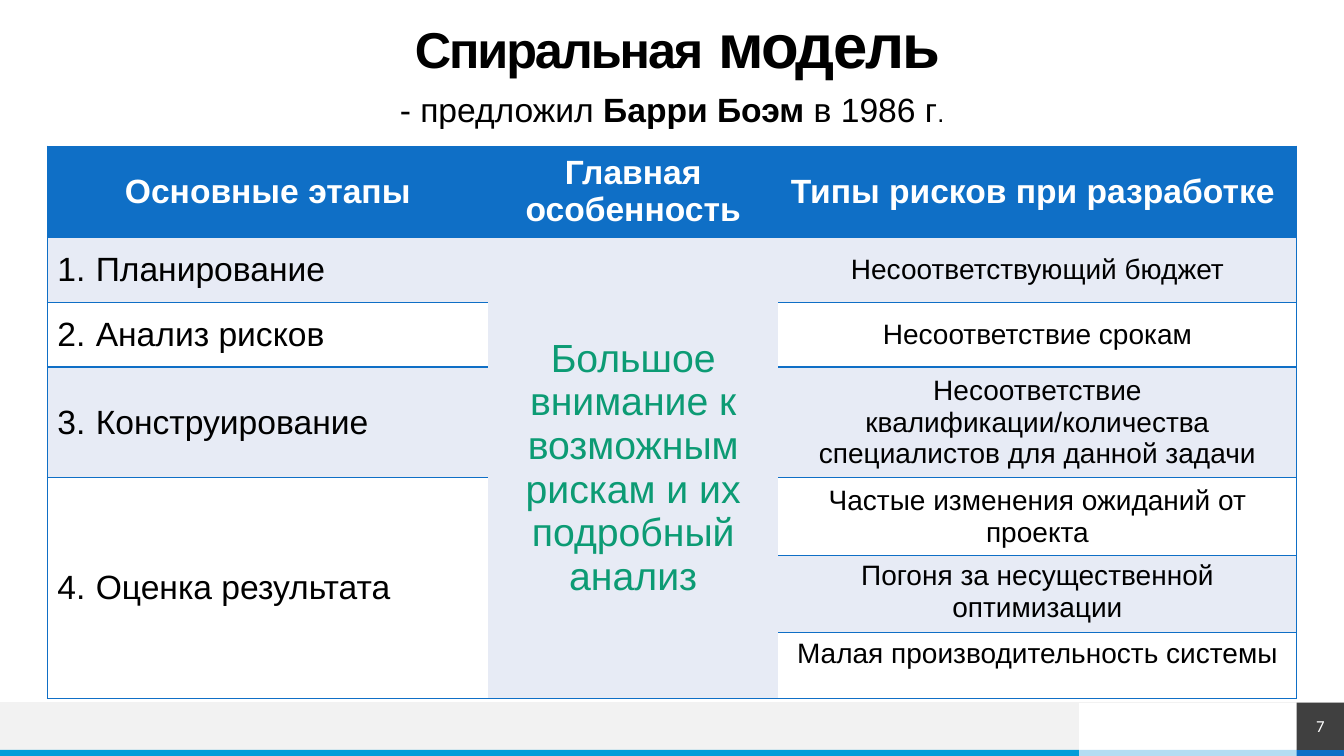
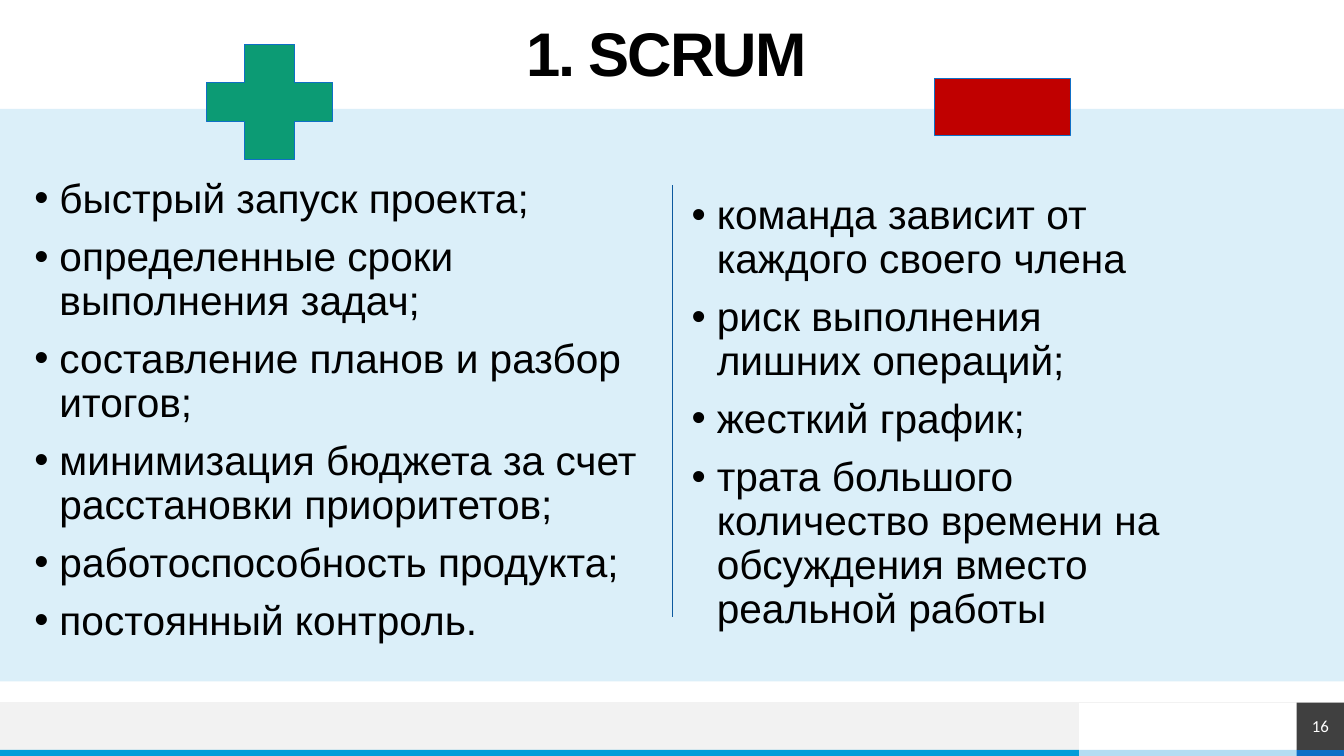
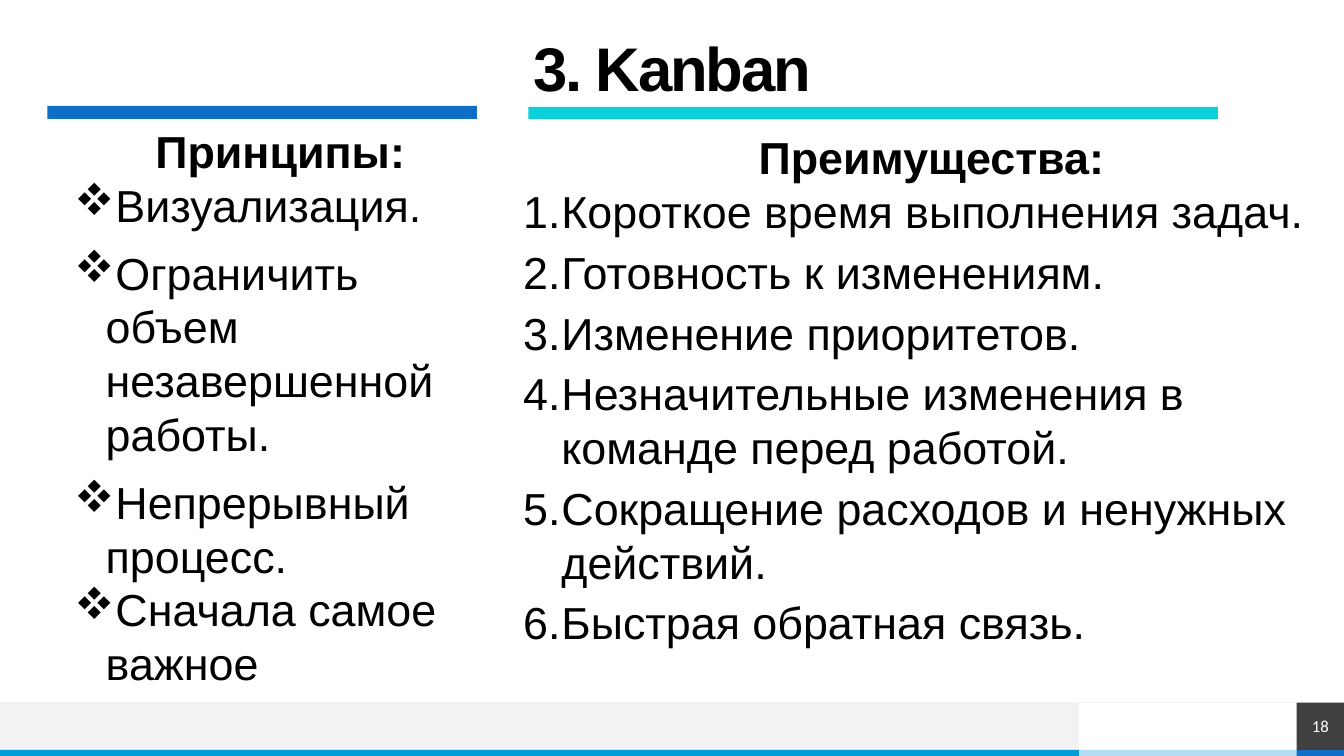
from lxml import etree
from pptx import Presentation
from pptx.dml.color import RGBColor
from pptx.enum import shapes, text
from pptx.oxml.ns import qn
from pptx.util import Inches, Pt

# Colours
BLACK = RGBColor(0x00, 0x00, 0x00)
WHITE = RGBColor(0xFF, 0xFF, 0xFF)
BLUE = RGBColor(0x0F, 0x6F, 0xC6)
DARK_BLUE = RGBColor(0x0C, 0x59, 0x9F)
SKY = RGBColor(0x00, 0x9D, 0xD9)
PALE_SKY = RGBColor(0xB3, 0xDD, 0xF2)
PANEL = RGBColor(0xDB, 0xEF, 0xF9)
CYAN = RGBColor(0x0B, 0xD0, 0xD9)
GREEN = RGBColor(0x0C, 0x9B, 0x74)
RED = RGBColor(0xC0, 0x00, 0x00)
ROW_TINT = RGBColor(0xE7, 0xEB, 0xF5)
LIGHT = RGBColor(0xF2, 0xF2, 0xF2)
DARK = RGBColor(0x40, 0x40, 0x40)

RECT = shapes.MSO_SHAPE.RECTANGLE
CENTER = text.PP_ALIGN.CENTER
MIDDLE = text.MSO_ANCHOR.MIDDLE

# Bullets: (font, character); "v" is the four-diamond sign in Wingdings
DOT = ("Arial", "•")
DIAMONDS = ("Wingdings", "v")

# Content: runs are (text, size, bold)
SPIRAL_TITLE = [("Спиральная", 36, True), (" модель", 44, True)]
SPIRAL_AUTHOR = [("- предложил ", 24, False), ("Барри Боэм ", 24, True),
                 ("в 1986 г", 24, False), (".", 18, False)]
HEADERS = ["Основные этапы", "Главная особенность", "Типы рисков при разработке "]
STAGES = ["Планирование", "Анализ рисков", "Конструирование", "Оценка результата"]
FEATURE = "Большое внимание к возможным рискам и их подробный анализ"
RISKS = ["Несоответствующий бюджет", "Несоответствие срокам",
         "Несоответствие квалификации/количества специалистов для данной задачи",
         "Частые изменения ожиданий от проекта",
         "Погоня за несущественной оптимизации",
         "Малая производительность системы"]
COL_WIDTHS = [4.37, 2.88, 5.14]
ROW_HEIGHTS = [0.89, 0.65, 0.64, 1.1, 0.77, 0.76, 0.65]

SCRUM_PROS = ["быстрый запуск проекта;", "определенные сроки выполнения задач;",
              "составление планов и разбор итогов;",
              "минимизация бюджета за счет расстановки приоритетов;",
              "работоспособность продукта;", "постоянный контроль."]
SCRUM_CONS = ["команда зависит от каждого своего члена",
              "риск выполнения лишних операций;", "жесткий график;",
              "трата большого количество времени на обсуждения вместо реальной работы"]

PRINCIPLES = ["Визуализация.", "Ограничить объем незавершенной работы.",
              "Непрерывный процесс.", "Сначала самое важное"]
BENEFITS = ["Короткое время выполнения задач.", "Готовность к изменениям.",
            "Изменение приоритетов.", "Незначительные изменения в команде перед работой.",
            "Сокращение расходов и ненужных действий.", "Быстрая обратная связь."]


# Text helpers
def add_runs(p, runs, color=BLACK, font="Arial", align=None):
    p.alignment = align
    for words, size, bold in runs:
        r = p.add_run()
        r.text = words
        r.font.name, r.font.size, r.font.bold = font, Pt(size), bold
        r.font.color.rgb = color


def set_bullet(p, hang, bullet=None, number=1):
    pPr = p._p.get_or_add_pPr()
    pPr.set("marL", str(Inches(hang)))
    pPr.set("indent", str(-Inches(hang)))
    if bullet:
        font, char = bullet
        etree.SubElement(pPr, qn("a:buFont"), typeface=font)
        etree.SubElement(pPr, qn("a:buChar"), char=char)
    else:
        etree.SubElement(pPr, qn("a:buAutoNum"), type="arabicPeriod", startAt=str(number))


def add_box(slide, x, y, w, h, inset=None):
    tf = slide.shapes.add_textbox(Inches(x), Inches(y), Inches(w), Inches(h)).text_frame
    tf.word_wrap = True
    if inset is not None:
        set_insets(tf, inset)
    return tf


def set_insets(tf, inset):
    tf.margin_left = tf.margin_right = tf.margin_top = tf.margin_bottom = Inches(inset)


def add_list(tf, items, size, hang, bullet=None, gaps=(0,), spacing=1.0, heading=None):
    """Fill a frame; the last value of gaps holds for all further items."""
    paragraphs = [tf.paragraphs[0]]
    if heading:
        add_runs(paragraphs.pop(), [(heading, size, True)], align=CENTER)
    for i, item in enumerate(items):
        p = paragraphs.pop() if paragraphs else tf.add_paragraph()
        add_runs(p, [(item, size, False)])
        p.line_spacing = spacing
        p.space_after = Pt(gaps[min(i, len(gaps) - 1)])
        set_bullet(p, hang, bullet)


# Shape helpers
def add_block(slide, x, y, w, h, fill, kind=RECT, line=None):
    sp = slide.shapes.add_shape(kind, Inches(x), Inches(y), Inches(w), Inches(h))
    sp.shadow.inherit = False
    sp.fill.solid()
    sp.fill.fore_color.rgb = fill
    if line is None:
        sp.line.fill.background()
    else:
        sp.line.color.rgb = line
        sp.line.width = Pt(0.5)
    return sp


def add_line(slide, x1, y1, x2, y2, color, width):
    ln = slide.shapes.add_connector(shapes.MSO_CONNECTOR.STRAIGHT, Inches(x1),
                                    Inches(y1), Inches(x2), Inches(y2))
    ln.line.color.rgb = color
    ln.line.width = Pt(width)
    etree.SubElement(ln._element.spPr, qn("a:effectLst"))


def new_slide(prs, title, number, x, y):
    """Title-only slide with the shared footer and page number."""
    slide = prs.slides.add_slide(prs.slide_layouts[5])
    # Footer bands
    add_block(slide, 10.7, 7.44, 2.17, 0.06, PALE_SKY)
    add_block(slide, 0, 6.97, 10.7, 0.47, LIGHT)
    add_block(slide, 0, 7.44, 10.7, 0.06, SKY)
    add_block(slide, 12.86, 7.44, 0.47, 0.06, BLUE)
    add_line(slide, 0, 6.97, 13.33, 6.97, LIGHT, 0.5)
    # Page number
    tf = add_block(slide, 12.86, 6.97, 0.47, 0.47, DARK).text_frame
    set_insets(tf, 0)
    tf.vertical_anchor = MIDDLE
    add_runs(tf.paragraphs[0], [(str(number), 12, False)], WHITE, "Calibri", CENTER)
    # Title
    sp = slide.shapes.title
    sp.left, sp.top, sp.width, sp.height = Inches(x), Inches(y), Inches(12.4), Inches(0.47)
    tf = sp.text_frame
    set_insets(tf, 0)
    tf.auto_size = text.MSO_AUTO_SIZE.NONE
    tf.vertical_anchor = MIDDLE
    p = tf.paragraphs[0]
    add_runs(p, title, align=CENTER)
    p.line_spacing = 0.9
    for r in p.runs:
        r._r.get_or_add_rPr().set("spc", "-150")
    return slide


# Table helpers
def set_borders(cell, **sides):
    tcPr = cell._tc.get_or_add_tcPr()
    for side in "LRTB":
        ln = etree.SubElement(tcPr, qn("a:ln" + side), w=str(Pt(1)))
        if sides[side]:
            fill = etree.SubElement(ln, qn("a:solidFill"))
            etree.SubElement(fill, qn("a:srgbClr"), val=str(BLUE))
        else:
            etree.SubElement(ln, qn("a:noFill"))


def add_spiral_table(slide):
    last_row, last_col = len(ROW_HEIGHTS) - 1, len(COL_WIDTHS) - 1
    table = slide.shapes.add_table(last_row + 1, last_col + 1, Inches(0.47), Inches(1.45),
                                   Inches(sum(COL_WIDTHS)), Inches(sum(ROW_HEIGHTS))).table
    for col, width in zip(table.columns, COL_WIDTHS):
        col.width = Inches(width)
    for row, height in zip(table.rows, ROW_HEIGHTS):
        row.height = Inches(height)
    table.cell(1, 1).merge(table.cell(last_row, 1))
    table.cell(len(STAGES), 0).merge(table.cell(last_row, 0))

    # Borders and fills
    for r in range(last_row + 1):
        for c in range(last_col + 1):
            cell = table.cell(r, c)
            joined = cell.is_spanned
            set_borders(cell, L=c == 0, R=c == last_col, T=not joined,
                        B=not joined or r == last_row)
            cell.fill.solid()
            cell.fill.fore_color.rgb = BLUE if r == 0 else ROW_TINT if r % 2 else WHITE
            cell.vertical_anchor = MIDDLE if r < 5 else text.MSO_ANCHOR.TOP

    # Texts
    def write(r, c, words, size, color=BLACK, bold=False, align=CENTER):
        p = table.cell(r, c).text_frame.paragraphs[0]
        add_runs(p, [(words, size, bold)], color, align=align)
        return p

    for c, words in enumerate(HEADERS):
        write(0, c, words, 24, WHITE, True)
    for r, words in enumerate(STAGES, 1):
        set_bullet(write(r, 0, words, 24, align=None), 0.38, number=r)
    write(1, 1, FEATURE, 28, GREEN)
    for r, words in enumerate(RISKS, 1):
        write(r, 2, words, 20)


def build_spiral(prs):
    slide = new_slide(prs, SPIRAL_TITLE, 7, 0.52, 0.25)
    tf = add_box(slide, 0.47, 0.83, 12.39, 0.5)
    add_runs(tf.paragraphs[0], SPIRAL_AUTHOR, align=CENTER)
    add_spiral_table(slide)


def build_scrum(prs):
    slide = new_slide(prs, [("1. SCRUM", 44, True)], 16, 0.41, 0.33)
    add_block(slide, 0, 1.08, 13.33, 5.68, PANEL)
    for items, x, y, w in [(SCRUM_PROS, 0.28, 1.71, 6.25), (SCRUM_CONS, 6.8, 1.87, 4.9)]:
        tf = add_box(slide, x, y, w, 4.48, inset=0.06)
        add_list(tf, items, 29, 0.25, DOT, gaps=(10.2,), spacing=0.9)
    # Plus and minus signs, divider
    plus = add_block(slide, 2.05, 0.44, 1.25, 1.14, GREEN, shapes.MSO_SHAPE.CROSS, BLUE)
    plus.adjustments[0] = 0.33
    add_block(slide, 9.27, 0.78, 1.35, 0.56, RED, line=BLUE)
    add_line(slide, 6.67, 1.84, 6.67, 6.12, DARK_BLUE, 1)


def build_kanban(prs):
    slide = new_slide(prs, [("3. Kanban", 44, True)], 18, 0.47, 0.47)
    add_list(add_box(slide, 0.64, 1.18, 4.28, 6.3), PRINCIPLES, 32, 0.31, DIAMONDS,
             gaps=(10, 10, 0), heading="Принципы:")
    add_list(add_box(slide, 5.09, 1.24, 8.3, 5.3), BENEFITS, 32, 0.38,
             gaps=(5,), heading="Преимущества:")
    # Column bars
    add_block(slide, 0.47, 1.05, 4.26, 0.13, BLUE)
    add_block(slide, 5.24, 1.06, 6.84, 0.12, CYAN)


def main():
    prs = Presentation()
    prs.slide_width, prs.slide_height = Inches(13.33), Inches(7.5)
    for build in (build_spiral, build_scrum, build_kanban):
        build(prs)
    prs.save("out.pptx")


if __name__ == "__main__":
    main()
